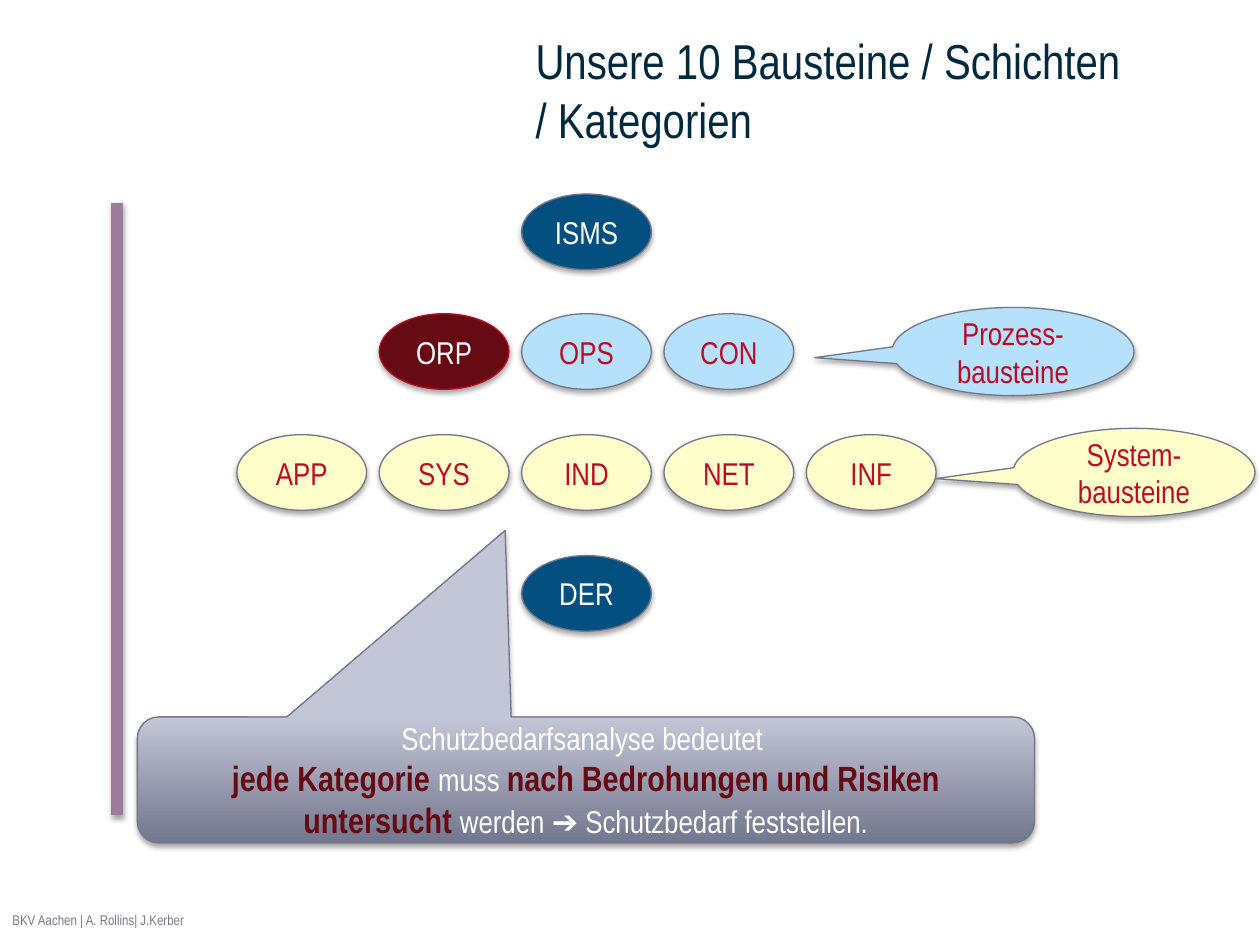
from lxml import etree
from pptx import Presentation
from pptx import util as u
from pptx.dml.color import RGBColor
from pptx.enum import shapes, text
from pptx.oxml import ns

NAVY, SKY, CREAM, WINE = "034F80", "B5E1FD", "FFFFCC", "660A14"
RED, GREY, WHITE = "BD0A26", "737687", "FFFFFF"


def rgb(value):
    return RGBColor.from_string(value)


class SlideBuilder:
    font = "Arial Narrow"

    def __init__(self, slide):
        self.slide = slide

    def add_shadow(self, sp):
        """Give a shape or connector the soft shadow below it."""
        effects = etree.SubElement(sp._element.spPr, ns.qn("a:effectLst"))
        outer = etree.SubElement(
            effects, ns.qn("a:outerShdw"), blurRad=str(u.Pt(3.1)),
            dist=str(u.Pt(1.8)), dir="5400000", rotWithShape="0")
        color = etree.SubElement(outer, ns.qn("a:srgbClr"), val="000000")
        etree.SubElement(color, ns.qn("a:alpha"), val="35000")

    def format_run(self, r, size, color, bold=False):
        r.font.name = self.font
        r.font.size = u.Pt(size)
        r.font.bold = bold
        r.font.color.rgb = rgb(color)

    def title(self, words, box):
        sp = self.slide.shapes.title
        sp.left, sp.top, sp.width, sp.height = map(u.Inches, box)
        tf = sp.text_frame
        tf.text = words
        tf.word_wrap = True
        tf.auto_size = text.MSO_AUTO_SIZE.NONE
        tf.vertical_anchor = text.MSO_ANCHOR.TOP
        tf.paragraphs[0].alignment = text.PP_ALIGN.LEFT
        self.format_run(tf.paragraphs[0].runs[0], 28, "00283F")

    def footer(self, words, box):
        tf = self.slide.shapes.add_textbox(*map(u.Inches, box)).text_frame
        tf.text = words
        tf.word_wrap = True
        tf.vertical_anchor = text.MSO_ANCHOR.MIDDLE
        self.format_run(tf.paragraphs[0].runs[0], 8, "76798A")

    def line(self, start, end, color, width):
        cx = self.slide.shapes.add_connector(
            shapes.MSO_CONNECTOR.STRAIGHT, *map(u.Inches, start + end))
        cx.line.color.rgb = rgb(color)
        cx.line.width = u.Pt(width)
        self.add_shadow(cx)

    def shape(self, kind, box, fill, lines, outline=GREY, adjust=(), inset=0.1):
        """Draw a shape; lines holds lists of (words, size, color, bold)."""
        sp = self.slide.shapes.add_shape(kind, *map(u.Inches, box))
        for i, value in enumerate(adjust):
            sp.adjustments[i] = value
        if isinstance(fill, str):
            sp.fill.solid()
            sp.fill.fore_color.rgb = rgb(fill)
        else:
            sp.fill.gradient()
            sp.fill.gradient_angle = 90
            for stop, position, color in zip(sp.fill.gradient_stops, (0, 1), fill):
                stop.position = position
                stop.color.rgb = rgb(color)
        sp.line.color.rgb = rgb(outline)
        sp.line.width = u.Pt(0.75)
        self.add_shadow(sp)
        tf = sp.text_frame
        tf.word_wrap = True
        tf.vertical_anchor = text.MSO_ANCHOR.MIDDLE
        tf.margin_left = tf.margin_right = u.Inches(inset)
        p = tf.paragraphs[0]
        p.alignment = text.PP_ALIGN.CENTER
        for i, parts in enumerate(lines):
            if i:
                p.add_line_break()
            for words, *style in parts:
                r = p.add_run()
                r.text = words
                self.format_run(r, *style)


def main():
    prs = Presentation()
    prs.slide_width, prs.slide_height = u.Inches(10), u.Inches(7.5)
    s = SlideBuilder(prs.slides.add_slide(prs.slide_layouts[5]))
    kinds = shapes.MSO_SHAPE

    s.line((0.93, 1.61), (0.93, 6.47), "9B7C9D", 6.5)
    s.title("Unsere 10 Bausteine / Schichten / Kategorien", (4.15, 0.19, 4.85, 1.09))
    s.footer("BKV Aachen | A. Rollins| J.Kerber", (0, 7.1, 7.12, 0.4))

    # Each row: top, first column, fill, text colour, module names
    rows = [
        (1.54, 2, NAVY, WHITE, ["ISMS"]),
        (2.49, 1, SKY, RED, ["ORP", "OPS", "CON"]),
        (3.45, 0, CREAM, RED, ["APP", "SYS", "IND", "NET", "INF"]),
        (4.41, 2, NAVY, WHITE, ["DER"]),
    ]
    highlight = "ORP"
    for top, first, fill, color, names in rows:
        for col, name in enumerate(names, first):
            box = (1.88 + 1.13 * col, top, 1.03, 0.6)
            look = (WINE, WHITE, RED) if name == highlight else (fill, color, GREY)
            s.shape(kinds.OVAL, box, look[0], [[(name, 18, look[1])]],
                    outline=look[2], inset=0.04)

    for words, left, top, fill in [("Prozess-bausteine", 7.08, 2.44, SKY),
                                   ("System-bausteine", 8.04, 3.4, CREAM)]:
        s.shape(kinds.OVAL_CALLOUT, (left, top, 1.92, 0.7), fill,
                [[(words, 18, RED)]], adjust=(-0.82, 0.07))

    plain, strong = (18, WHITE, False), (20, WINE, True)
    s.shape(kinds.ROUNDED_RECTANGULAR_CALLOUT, (1.09, 5.69, 7.12, 1),
            ("73778D", "C3C6D6"),
            [[("Schutzbedarfsanalyse bedeutet ", *plain)],
             [("jede Kategorie ", *strong), ("muss ", *plain),
              ("nach Bedrohungen und Risiken untersucht ", *strong),
              ("werden ➔ Schutzbedarf feststellen.", *plain)]],
            adjust=(-0.09, -1.98, 0.17))

    prs.save("out.pptx")


if __name__ == "__main__":
    main()
